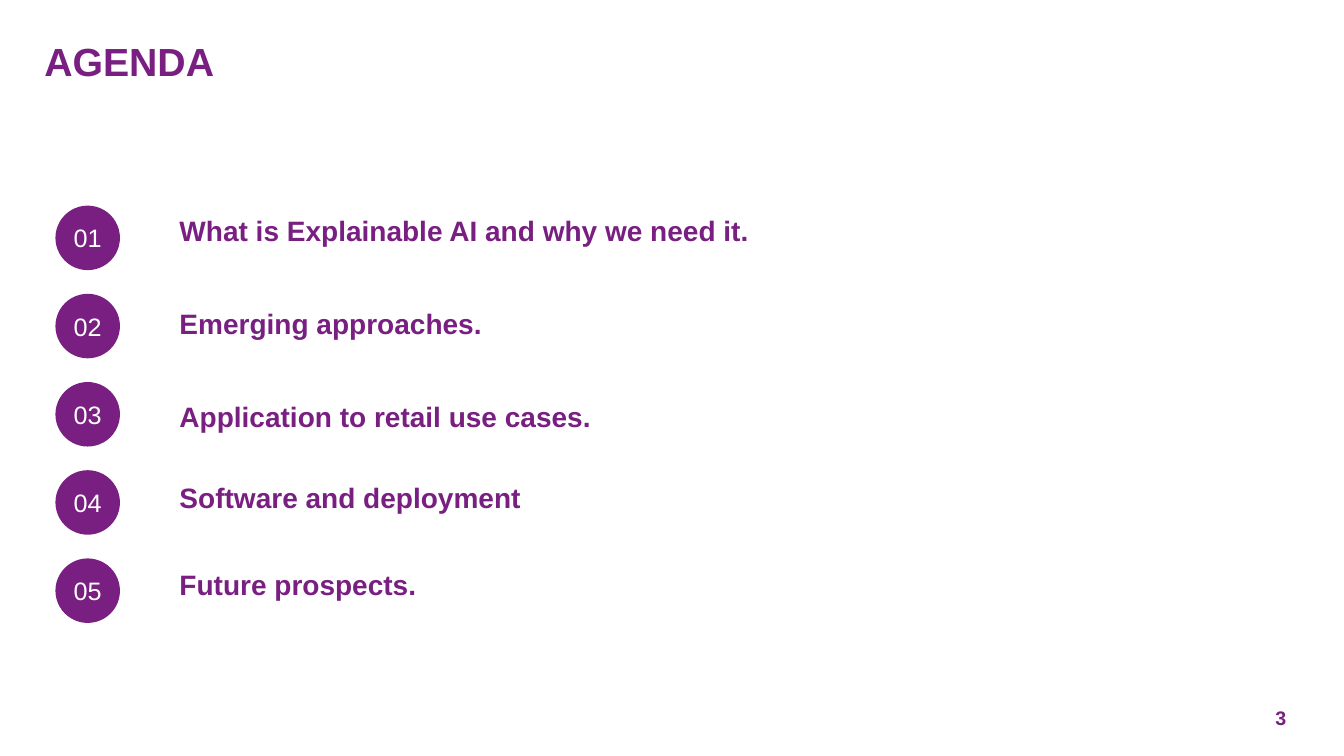
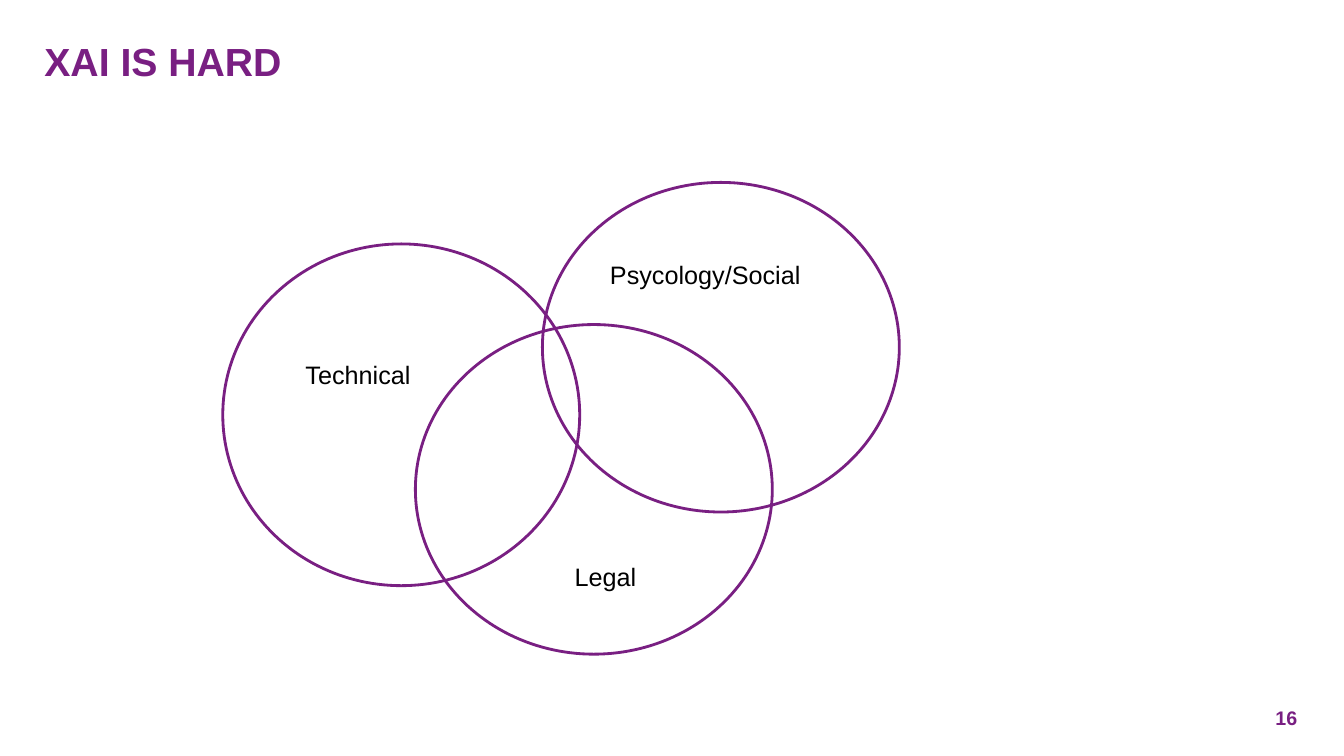
import pptx
import pptx.dml.color
import pptx.enum.shapes
import pptx.enum.text
import pptx.util
from dataclasses import dataclass

Inches = pptx.util.Inches
Align = pptx.enum.text.PP_ALIGN
Anchor = pptx.enum.text.MSO_ANCHOR

# Shared look
FONT = "Arial"
COLORS = {"purple": "791F82", "white": "FFFFFF", "black": "000000"}


@dataclass
class Box:
    left: float
    top: float
    width: float
    height: float

    def place(self) -> tuple:
        return tuple(Inches(n) for n in
                     (self.left, self.top, self.width, self.height))


@dataclass
class Style:
    size: int
    color: str
    bold: bool = False
    align: Align = Align.LEFT
    anchor: Anchor = Anchor.TOP


@dataclass
class Topic:
    text: str
    top: float


@dataclass
class Field:
    ring: Box
    name: str
    label: Box


TITLE = Style(28, "purple", True, anchor=Anchor.BOTTOM)
NUMBER = Style(14, "purple", True, anchor=Anchor.BOTTOM)
BADGE = Style(18, "white", align=Align.CENTER, anchor=Anchor.MIDDLE)
TOPIC = Style(20, "purple", True)
LABEL = Style(18, "black")

TITLE_BOX = Box(0.44, 0.29, 12.42, 0.55)
NUMBER_BOX = Box(12.65, 7.03, 0.36, 0.21)

# Agenda content
BADGE_TOP, BADGE_STEP, BADGE_SIZE = 2.04, 0.875, 0.64
TOPICS = [
    Topic("What is Explainable AI and why we need it.", 2.12),
    Topic("Emerging approaches.", 3.04),
    Topic("Application to retail use cases.", 3.96),
    Topic("Software and deployment", 4.77),
    Topic("Future prospects.", 5.63),
]

# Venn content
FIELDS = [
    Field(Box(2.21, 2.42, 3.54, 3.39), "Technical", Box(3.03, 3.56, 1.4, 0.35)),
    Field(Box(5.38, 1.81, 3.54, 3.27), "Psycology/Social",
          Box(6.05, 2.57, 2.19, 0.46)),
    Field(Box(4.12, 3.22, 3.54, 3.27), "Legal", Box(5.7, 5.57, 1.43, 0.26)),
]


def color(name: str) -> pptx.dml.color.RGBColor:
    return pptx.dml.color.RGBColor.from_string(COLORS[name])


def write(shape, text: str, style: Style) -> None:
    frame = shape.text_frame
    frame.text = text
    frame.word_wrap = True
    frame.auto_size = pptx.enum.text.MSO_AUTO_SIZE.NONE
    frame.vertical_anchor = style.anchor
    frame.margin_left = frame.margin_right = Inches(0)
    frame.margin_top = frame.margin_bottom = Inches(0)
    para = frame.paragraphs[0]
    para.alignment = style.align
    font = para.runs[0].font
    font.name = FONT
    font.size = pptx.util.Pt(style.size)
    font.bold = style.bold
    font.color.rgb = color(style.color)


def add_text(slide, box: Box, text: str, style: Style) -> None:
    write(slide.shapes.add_textbox(*box.place()), text, style)


def add_oval(slide, box: Box):
    oval = slide.shapes.add_shape(
        pptx.enum.shapes.MSO_SHAPE.OVAL, *box.place())
    oval.shadow.inherit = False
    return oval


def add_badge(slide, box: Box, text: str) -> None:
    badge = add_oval(slide, box)
    badge.fill.solid()
    badge.fill.fore_color.rgb = color("purple")
    badge.line.fill.background()
    write(badge, text, BADGE)


def add_ring(slide, box: Box) -> None:
    ring = add_oval(slide, box)
    ring.fill.background()
    ring.line.color.rgb = color("purple")
    ring.line.width = pptx.util.Pt(2)


def add_slide(deck, title: str, number: int):
    slide = deck.slides.add_slide(deck.slide_layouts.get_by_name("Title Only"))
    head = slide.shapes.title
    head.left, head.top, head.width, head.height = TITLE_BOX.place()
    write(head, title, TITLE)
    add_text(slide, NUMBER_BOX, str(number), NUMBER)
    return slide


def add_agenda(deck) -> None:
    slide = add_slide(deck, "AGENDA", 3)
    for i, topic in enumerate(TOPICS):
        top = BADGE_TOP + i * BADGE_STEP
        add_badge(slide, Box(0.55, top, BADGE_SIZE, BADGE_SIZE), f"{i + 1:02}")
        add_text(slide, Box(1.78, topic.top, 8.99, 0.47), topic.text, TOPIC)


def add_venn(deck) -> None:
    slide = add_slide(deck, "XAI IS HARD", 16)
    for field in FIELDS:
        add_ring(slide, field.ring)
    for field in FIELDS:
        add_text(slide, field.label, field.name, LABEL)


def main() -> None:
    deck = pptx.Presentation()
    deck.slide_width, deck.slide_height = Inches(13.33), Inches(7.5)
    add_agenda(deck)
    add_venn(deck)
    deck.save("out.pptx")


if __name__ == "__main__":
    main()
